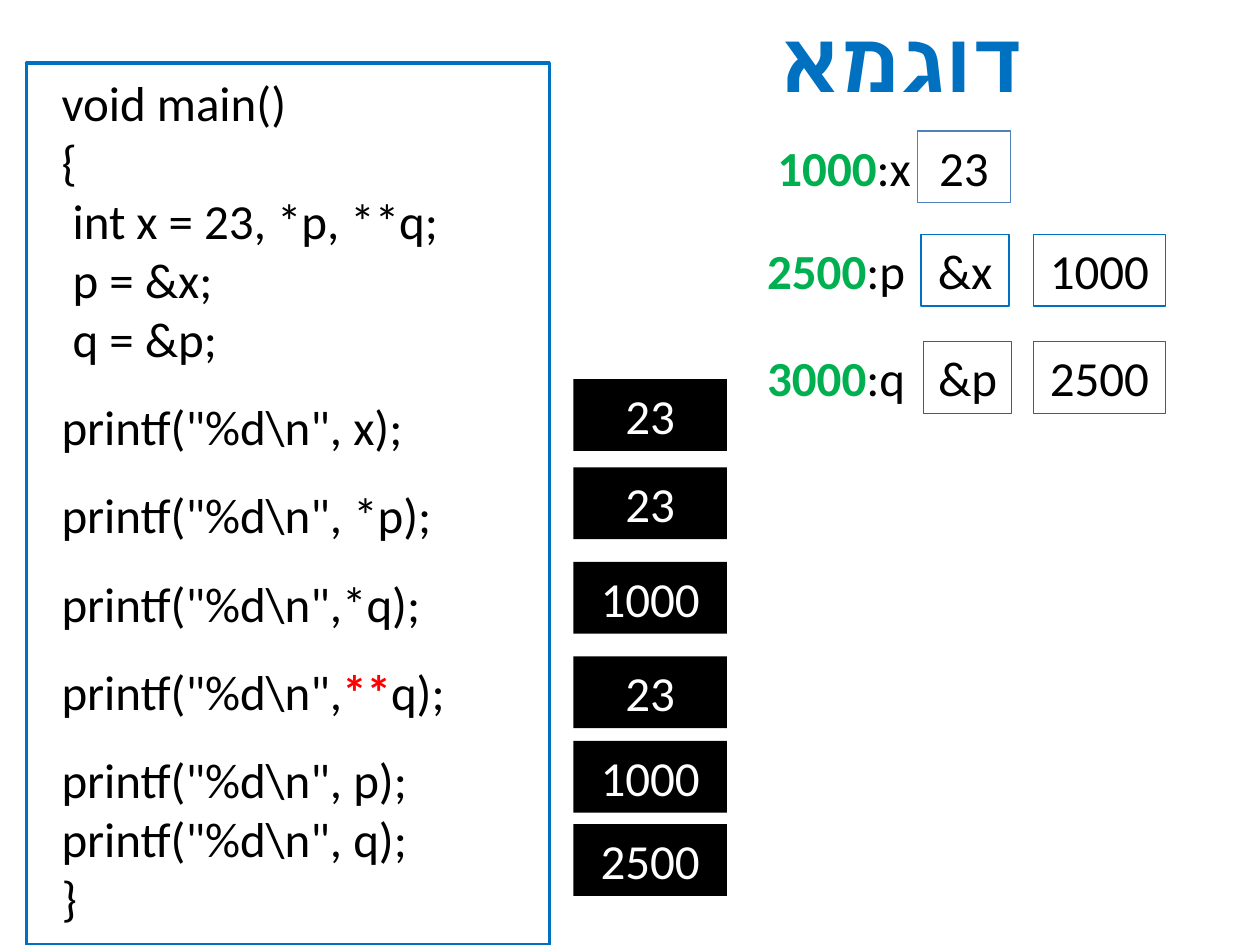
from pptx import Presentation
from pptx.dml.color import RGBColor
from pptx.enum.shapes import MSO_SHAPE as Shape
from pptx.enum.text import MSO_ANCHOR as Anchor, PP_ALIGN as Align
from pptx.util import Inches, Pt

COLS, ROWS = 100, 75
COLORS = {"ink": "000000", "paper": "FFFFFF", "blue": "0070C0", "steel": "4F81BD",
          "green": "00B050", "red": "FF0000"}
BOX_ROWS = 5.7

CODE = [
    ("void main()", 1), ("{", 1), (" int x = 23, *p, **q;", 1), (" p = &x;", 1), (" q = &p;", 1),
    (r'printf("%d\n", x);', 1.5), (r'printf("%d\n", *p);', 1.5), (r'printf("%d\n",*q);', 1.5),
    ([(r'printf("%d\n",', {}), ("**", {"color": "red", "bold": True}), ("q);", {})], 1.5),
    (r'printf("%d\n", p);', 1.5), (r'printf("%d\n", q);', 1), ("}", 1),
]
OUTPUT = [("23", 30.1), ("23", 37.1), ("1000", 44.6), ("23", 52.1), ("1000", 58.8), ("2500", 65.4)]

# address, name, row, (label column, width, alignment), [(value, column, width, line colour)]
VARIABLES = [
    ("1000", "x", 10.4, (60.4, 13.2, Align.CENTER), [("23", 72.8, 7.4, "steel")]),
    ("2500", "p", 18.6, (59.9, 13.2, Align.LEFT),
     [("&x", 73.1, 7, "blue"), ("1000", 82, 10.5, "blue")]),
    ("3000", "q", 27.1, (59.9, 14.2, Align.LEFT),
     [("&p", 73.3, 7, "blue"), ("2500", 82, 10.5, "blue")]),
]


class Board:
    """Style and current slide; places are (column, row, columns, rows)."""
    font = {"name": "Calibri", "size": Pt(28), "bold": False}

    def __init__(self, prs):
        self.cell = prs.slide_width / COLS, prs.slide_height / ROWS
        self.s = prs.slides.add_slide(prs.slide_layouts[5])

    def place(self, col, row, cols, rows):
        w, h = self.cell
        return [round(v) for v in (col * w, row * h, cols * w, rows * h)]

    def rgb(self, name):
        return RGBColor.from_string(COLORS[name])

    def add_runs(self, p, runs, color="ink", **base):
        """Fill a paragraph from a string or from (text, format) runs."""
        for text, own in [(runs, {})] if isinstance(runs, str) else runs:
            r = p.add_run()
            r.text = text
            style = {**self.font, "color": color, **base, **own}
            r.font.color.rgb = self.rgb(style.pop("color"))
            for key, value in style.items():
                setattr(r.font, key, value)

    def title(self, text, at):
        sp = self.s.shapes.title
        sp.left, sp.top, sp.width, sp.height = self.place(*at)
        sp.text_frame.vertical_anchor = Anchor.MIDDLE
        p = sp.text_frame.paragraphs[0]
        p.alignment = Align.CENTER
        p._p.get_or_add_pPr().set("rtl", "1")
        self.add_runs(p, text, "blue", size=Pt(48), bold=True)

    def label(self, runs, at, align):
        tf = self.s.shapes.add_textbox(*self.place(*at)).text_frame
        tf.word_wrap = True
        tf.paragraphs[0].alignment = align
        self.add_runs(tf.paragraphs[0], runs)

    def box(self, at, text="", fill=None, line=None, width=0.75, color="ink"):
        sp = self.s.shapes.add_shape(Shape.RECTANGLE, *self.place(*at))
        sp.shadow.inherit = False
        for paint, name in ((sp.fill, fill), (sp.line.fill, line)):
            if name:
                paint.solid()
                paint.fore_color.rgb = self.rgb(name)
            else:
                paint.background()
        if line:
            sp.line.width = Pt(width)
        tf = sp.text_frame
        tf.vertical_anchor = Anchor.TOP
        if text:
            tf.paragraphs[0].alignment = Align.CENTER
            self.add_runs(tf.paragraphs[0], text, color)
        return tf

    def code(self, lines, at):
        tf = self.box(at, fill="paper")
        for i, (runs, spacing) in enumerate(lines):
            p = tf.add_paragraph() if i else tf.paragraphs[0]
            p.alignment, p.line_spacing = Align.LEFT, spacing
            self.add_runs(p, runs)


def main():
    prs = Presentation()
    prs.slide_width, prs.slide_height = Inches(10), Inches(7.5)
    board = Board(prs)
    board.title("דוגמא", (47.6, 0.1, 48.1, 9.1))
    board.code(CODE, (3.9, 5.3, 34.6, 67.7))
    board.box((2.1, 5, 41.5, 70), line="blue", width=2)
    for text, row in OUTPUT:
        board.box((45.5, row, 12.2, BOX_ROWS), text, fill="ink", color="paper")
    for address, name, row, (col, cols, align), values in VARIABLES:
        board.label([(address, {"color": "green", "bold": True}), (f":{name}", {})],
                    (col, row, cols, BOX_ROWS), align)
        for text, left, width, line in values:
            board.box((left, row, width, BOX_ROWS), text, line=line)
    prs.save("out.pptx")


if __name__ == "__main__":
    main()
